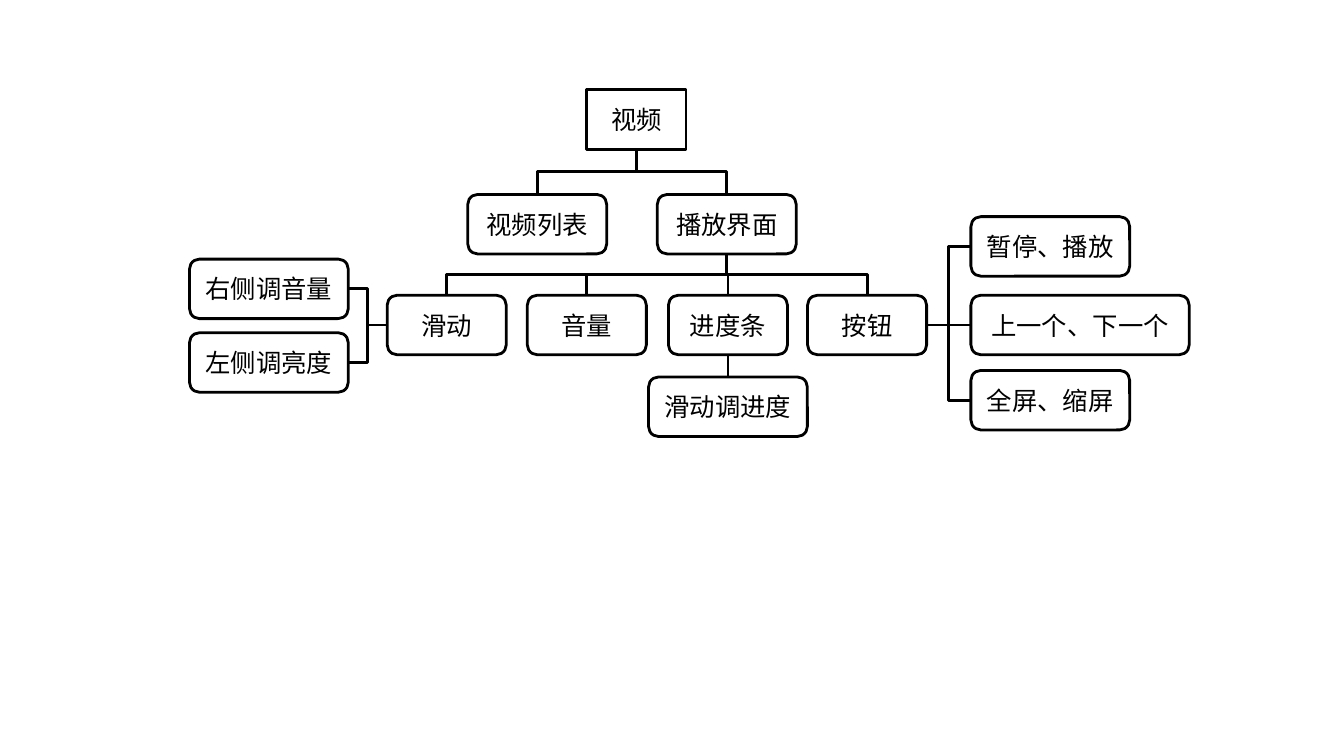
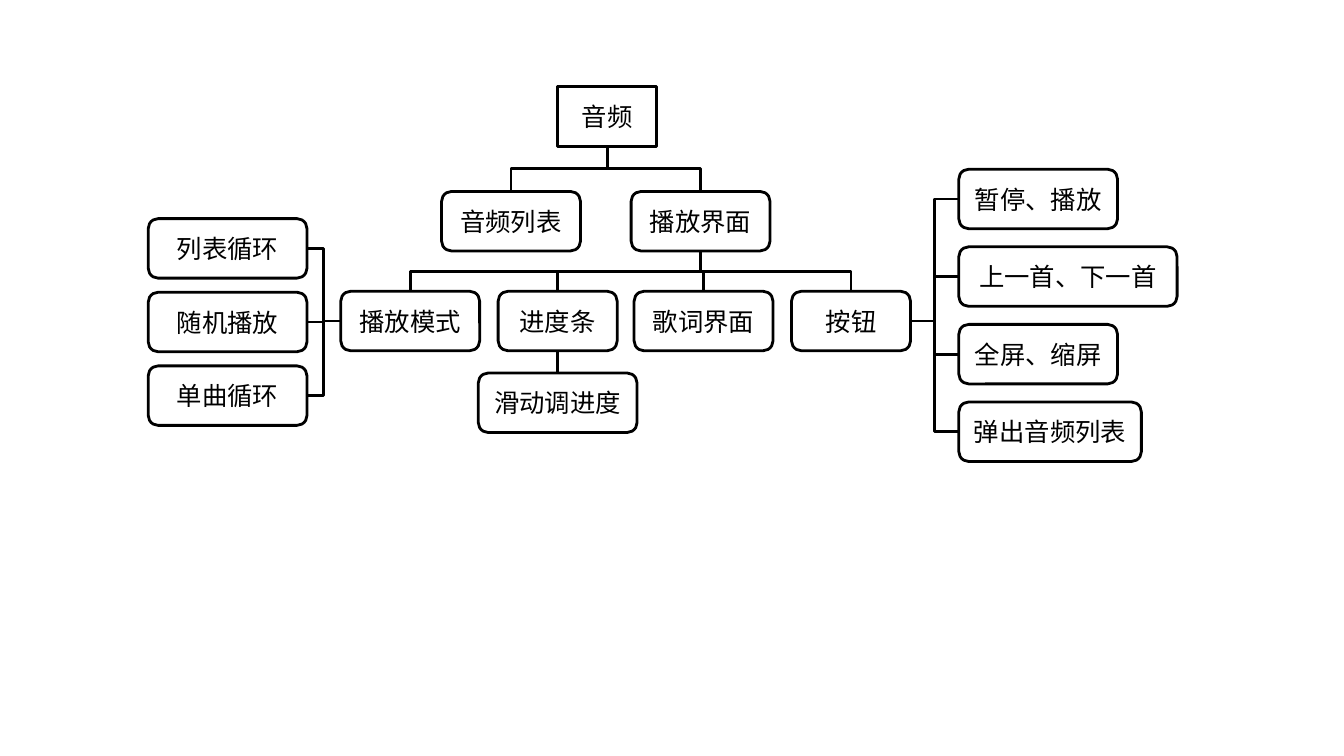
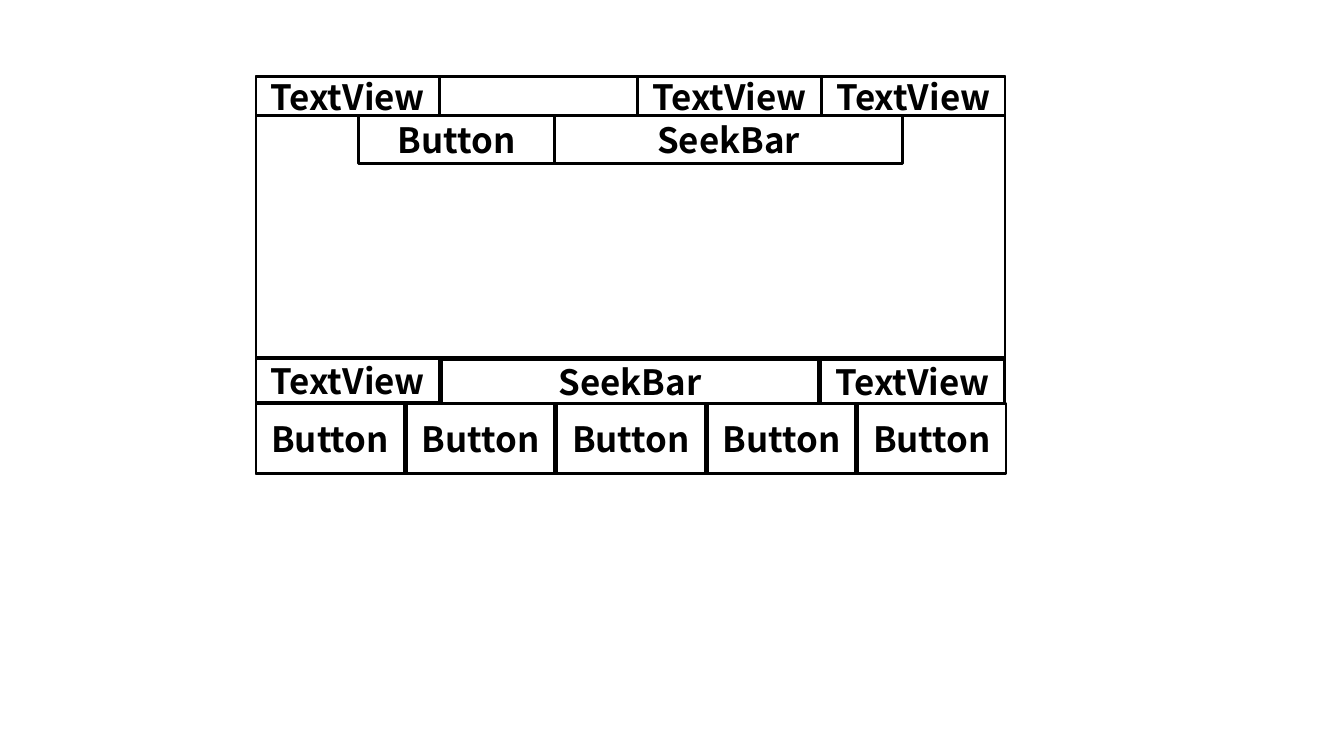
import pptx
import pptx.util
import pptx.dml.color
import pptx.enum.shapes
import pptx.enum.text
import pptx.oxml.ns
import pptx.oxml.xmlchemy

UNIT = pptx.util.Cm(0.5)
HEX = {"ink": "000000", "paper": "FFFFFF"}
RECT = pptx.enum.shapes.MSO_SHAPE.RECTANGLE
ROUND = pptx.enum.shapes.MSO_SHAPE.ROUNDED_RECTANGLE
LINKS = pptx.enum.shapes.MSO_CONNECTOR
TALL = 3
HAN = "Noto Sans CJK SC"


def grid(count):
    return round(count * UNIT)


def tint(name):
    return pptx.dml.color.RGBColor.from_string(HEX[name])


def edge(item):
    item.line.color.rgb = tint("ink")
    item.line.width = pptx.util.Pt(2)


def write(shape, text, size=18.1, font="Calibri", bold=False):
    frame = shape.text_frame
    frame.word_wrap = True
    frame.margin_left = frame.margin_right = 0
    frame.margin_top = frame.margin_bottom = 0
    frame.vertical_anchor = pptx.enum.text.MSO_ANCHOR.MIDDLE
    line = frame.paragraphs[0]
    line.alignment = pptx.enum.text.PP_ALIGN.CENTER
    run = line.add_run()
    run.text = text
    run.font.size = pptx.util.Pt(size)
    run.font.name = font
    run.font.bold = bold
    run.font.color.rgb = tint("ink")
    east = pptx.oxml.xmlchemy.OxmlElement("a:ea")
    east.set("typeface", HAN)
    run.font._element.append(east)


def box(slide, left, top, wide, tall=TALL, kind=RECT):
    shape = slide.shapes.add_shape(kind, *map(grid, (left, top, wide, tall)))
    shape.shadow.inherit = False
    shape.fill.solid()
    shape.fill.fore_color.rgb = tint("paper")
    edge(shape)
    return shape


def node(slide, text, left, top, wide, kind=ROUND):
    shape = box(slide, left, top, wide, kind=kind)
    write(shape, text)
    return shape


def wire(slide, kind, *ends):
    link = slide.shapes.add_connector(kind, *map(round, ends))
    edge(link)
    link._element.spPr.append(pptx.oxml.xmlchemy.OxmlElement("a:effectLst"))
    return link


def drop(slide, above, below):
    x1, y1 = above.left + above.width / 2, above.top + above.height
    x2, y2 = below.left + below.width / 2, below.top
    if abs(x1 - x2) < UNIT / 20:
        wire(slide, LINKS.STRAIGHT, x1, y1, x1, y2)
        return
    midx, midy = (x1 + x2) / 2, (y1 + y2) / 2
    half, turn = (y2 - y1) / 2, (x2 - x1) / 2
    link = wire(slide, LINKS.ELBOW, midx - half, midy + turn, midx + half, midy - turn)
    link._element.spPr.find(pptx.oxml.ns.qn("a:xfrm")).set("rot", "5400000")


def reach(slide, near, far):
    if far.left > near.left:
        x1, x2 = near.left + near.width, far.left
    else:
        x1, x2 = near.left, far.left + far.width
    y1, y2 = near.top + near.height / 2, far.top + far.height / 2
    wire(slide, LINKS.ELBOW, x1, y1, x2, y2)


def fan(slide, root, link, items):
    nodes = [node(slide, *item) for item in items]
    for item in nodes:
        link(slide, root, item)
    return nodes


def tree(slide, root, views, parts, left, right, slider, track):
    top = node(slide, *root, kind=RECT)
    player = fan(slide, top, drop, views)[1]
    row = fan(slide, player, drop, parts)
    fan(slide, row[0], reach, left)
    fan(slide, row[-1], reach, right)
    fan(slide, row[track], drop, [slider])


def video(slide):
    tree(
        slide,
        root=("视频", 29.57, 4.52, 5),
        views=[("视频列表", 23.57, 9.8, 7), ("播放界面", 33.12, 9.8, 7)],
        parts=[
            ("滑动", 19.51, 14.88, 6),
            ("音量", 26.57, 14.88, 6),
            ("进度条", 33.68, 14.88, 6),
            ("按钮", 40.69, 14.88, 6),
        ],
        left=[("右侧调音量", 9.55, 13.06, 8), ("左侧调亮度", 9.55, 16.77, 8)],
        right=[
            ("暂停、播放", 48.92, 10.92, 8),
            ("上一个、下一个", 48.92, 14.88, 11),
            ("全屏、缩屏", 48.92, 18.67, 8),
        ],
        slider=("滑动调进度", 32.68, 19, 8),
        track=2,
    )


def audio(slide):
    modes = ["列表循环", "随机播放", "单曲循环"]
    keys = [("暂停、播放", 8), ("上一首、下一首", 11), ("全屏、缩屏", 8), ("弹出音频列表", 9.2)]
    tree(
        slide,
        root=("音频", 28.09, 4.37, 5),
        views=[("音频列表", 22.25, 9.65, 7), ("播放界面", 31.8, 9.65, 7)],
        parts=[
            ("播放模式", 17.17, 14.68, 7),
            ("进度条", 25.1, 14.68, 6),
            ("歌词界面", 31.95, 14.68, 7),
            ("按钮", 39.88, 14.68, 6),
        ],
        left=[(text, 7.47, 11.02 + 3.71 * i, 8) for i, text in enumerate(modes)],
        right=[(text, 48.31, 8.53 + 3.91 * i, wide) for i, (text, wide) in enumerate(keys)],
        slider=("滑动调进度", 24.1, 18.8, 8),
        track=1,
    )


def cell(slide, text, *place):
    write(box(slide, *place), text, size=24.9, font=HAN, bold=True)


def screen(slide):
    left, top, wide, tall = 12.9, 3.86, 37.74, 20.02
    view, bar = 9.25, 1.98
    right = left + wide
    box(slide, left, top, wide, tall)
    box(slide, left, top, wide, bar)
    for start in (left, right - view, right - 2 * view):
        cell(slide, "TextView", start, top, view, bar)
    box(slide, left, 18.03, wide, 5.85)
    for i in range(5):
        cell(slide, "Button", left + 7.58 * i, 20.32, 7.47, 3.56)
    cell(slide, "Button", 18.08, top + bar, 9.86, 2.39)
    cell(slide, "SeekBar", 27.94, top + bar, 17.53, 2.39)
    cell(slide, "TextView", left, 18.08, view, 2.18)
    cell(slide, "SeekBar", 22.25, 18.14, 19, 2.18)
    cell(slide, "TextView", 41.35, 18.14, view, 2.18)


def main():
    deck = pptx.Presentation()
    deck.slide_width = pptx.util.Inches(13.33)
    deck.slide_height = pptx.util.Inches(7.5)
    for draw in (video, audio, screen):
        draw(deck.slides.add_slide(deck.slide_layouts[6]))
    deck.save("out.pptx")


main()
